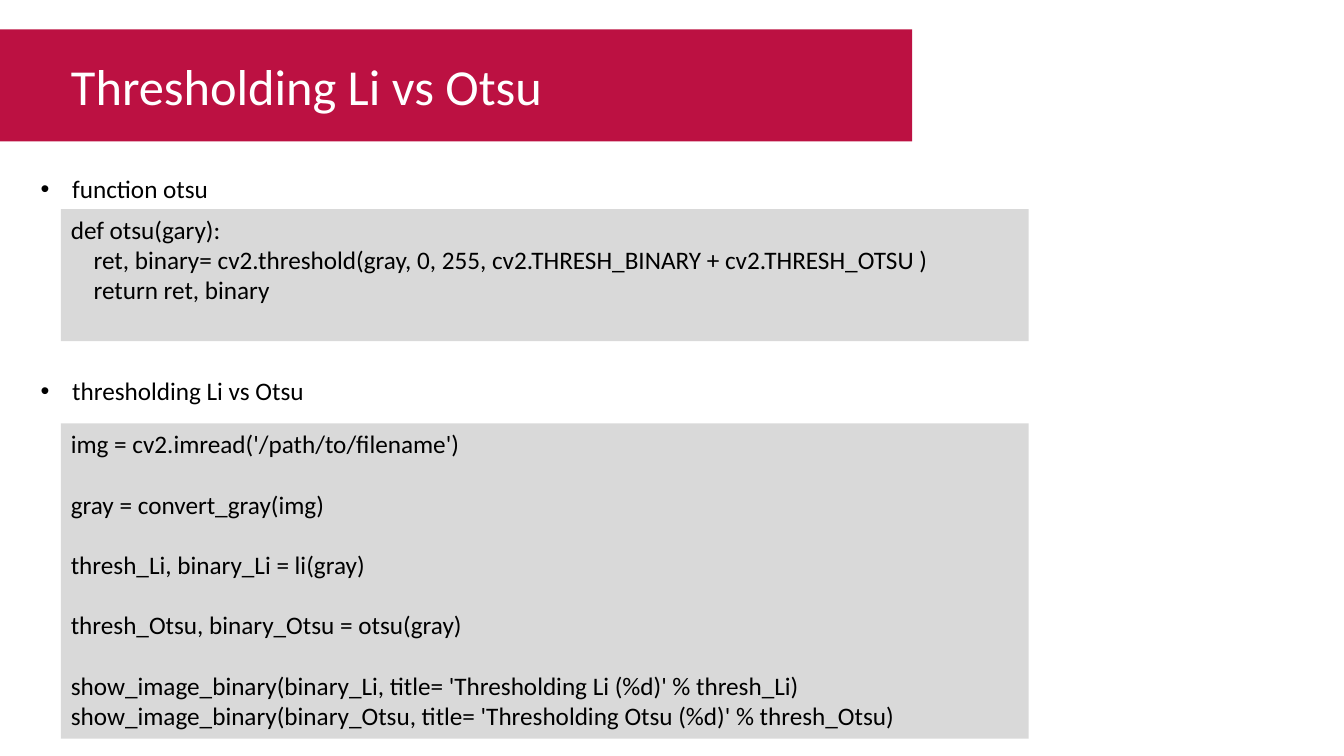
from dataclasses import dataclass

from lxml.etree import SubElement
from pptx import Presentation
from pptx.dml.color import RGBColor
from pptx.enum.shapes import MSO_SHAPE
from pptx.enum.text import MSO_ANCHOR, MSO_AUTO_SIZE, PP_ALIGN
from pptx.oxml.ns import qn
from pptx.util import Pt


@dataclass(frozen=True)
class Theme:
    font: str = "Calibri"
    title_size: int = 36
    body_size: int = 18
    crimson: RGBColor = RGBColor(0xBC, 0x11, 0x42)
    gray: RGBColor = RGBColor(0xD9, 0xD9, 0xD9)
    white: RGBColor = RGBColor(0xFF, 0xFF, 0xFF)
    black: RGBColor = RGBColor(0, 0, 0)


theme = Theme()
BLANK_LINE = 21.6
CODE_INDENT = 16.3
BULLET_INDENT = 22.5


def add_rectangle(left, top, width, height, color):
    shape = slide.shapes.add_shape(
        MSO_SHAPE.RECTANGLE, Pt(left), Pt(top), Pt(width), Pt(height))
    shape.shadow.inherit = False
    shape.fill.solid()
    shape.fill.fore_color.rgb = color
    shape.line.fill.background()
    return shape


def add_text(paragraph, text, size, color):
    paragraph.alignment = PP_ALIGN.LEFT
    run = paragraph.add_run()
    run.text = text
    run.font.name = theme.font
    run.font.size = Pt(size)
    run.font.color.rgb = color


presentation = Presentation()
presentation.slide_width = Pt(960)
presentation.slide_height = Pt(540)
slide = presentation.slides.add_slide(presentation.slide_layouts[5])

# Title on its banner, which must lie behind the placeholder
banner = add_rectangle(0, 21, 651.5, 80, theme.crimson)
slide.shapes.title._element.addprevious(banner._element)

title = slide.shapes.title
title.left, title.top, title.width, title.height = Pt(43.5), Pt(36), Pt(351), Pt(51)
title.text_frame.word_wrap = False
title.text_frame.auto_size = MSO_AUTO_SIZE.NONE
title.text_frame.vertical_anchor = MSO_ANCHOR.TOP
add_text(title.text_frame.paragraphs[0], "Thresholding Li vs Otsu",
         theme.title_size, theme.white)

# Each section: heading, heading top, code top, code height,
# and code lines as (text, indent level, blank lines before)
sections = [
    ("function otsu", 120.5, 149.3, 94.3, [
        ("def otsu(gary):", 0, 0),
        ("ret, binary= cv2.threshold(gray, 0, 255, "
         "cv2.THRESH_BINARY + cv2.THRESH_OTSU )", 1, 0),
        ("return ret, binary", 1, 0),
    ]),
    ("thresholding Li vs Otsu", 264.5, 302.4, 225.2, [
        ("img = cv2.imread('/path/to/filename')", 0, 0),
        ("gray = convert_gray(img)", 0, 1),
        ("thresh_Li, binary_Li = li(gray)", 0, 1),
        ("thresh_Otsu, binary_Otsu = otsu(gray)", 0, 1),
        ("show_image_binary(binary_Li, title= 'Thresholding Li (%d)' % thresh_Li)", 0, 1),
        ("show_image_binary(binary_Otsu, title= 'Thresholding Otsu (%d)' % thresh_Otsu)", 0, 0),
    ]),
]

for heading, heading_top, code_top, code_height, code_lines in sections:
    code_box = add_rectangle(43.5, code_top, 691.2, code_height, theme.gray)
    code_frame = code_box.text_frame
    code_frame.word_wrap = True
    code_frame.vertical_anchor = MSO_ANCHOR.TOP
    for index, (text, level, blank_lines) in enumerate(code_lines):
        paragraph = code_frame.add_paragraph() if index else code_frame.paragraphs[0]
        paragraph.space_before = Pt(blank_lines * BLANK_LINE)
        add_text(paragraph, text, theme.body_size, theme.black)
        paragraph._p.get_or_add_pPr().set("marL", str(Pt(level * CODE_INDENT)))

    heading_box = slide.shapes.add_textbox(Pt(22), Pt(heading_top), Pt(418), Pt(29))
    heading_box.text_frame.word_wrap = True
    paragraph = heading_box.text_frame.paragraphs[0]
    add_text(paragraph, heading, theme.body_size, theme.black)
    properties = paragraph._p.get_or_add_pPr()
    properties.set("marL", str(Pt(BULLET_INDENT)))
    properties.set("indent", str(-Pt(BULLET_INDENT)))
    SubElement(properties, qn("a:buFont")).set("typeface", "Arial")
    SubElement(properties, qn("a:buChar")).set("char", "•")

presentation.save("out.pptx")
